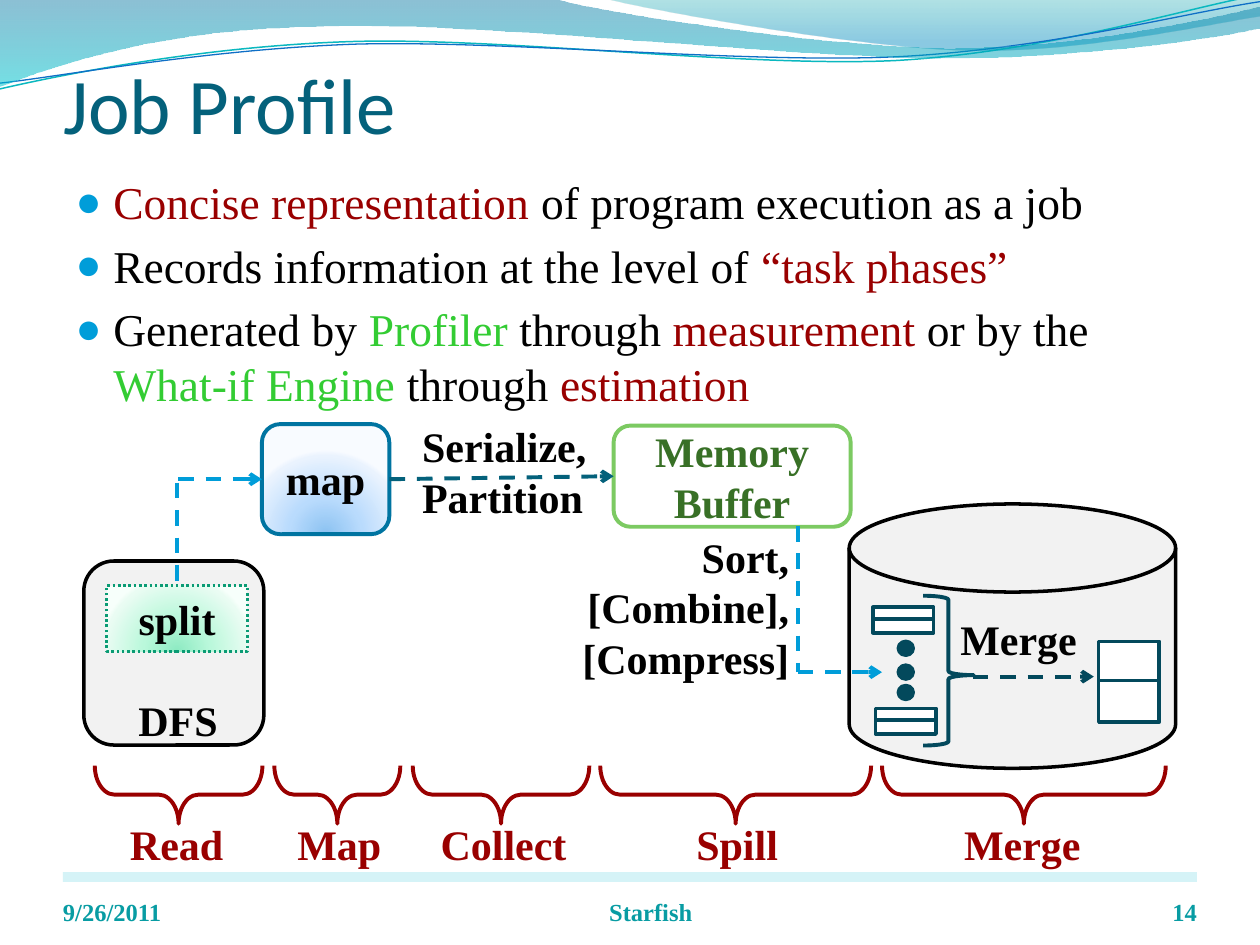
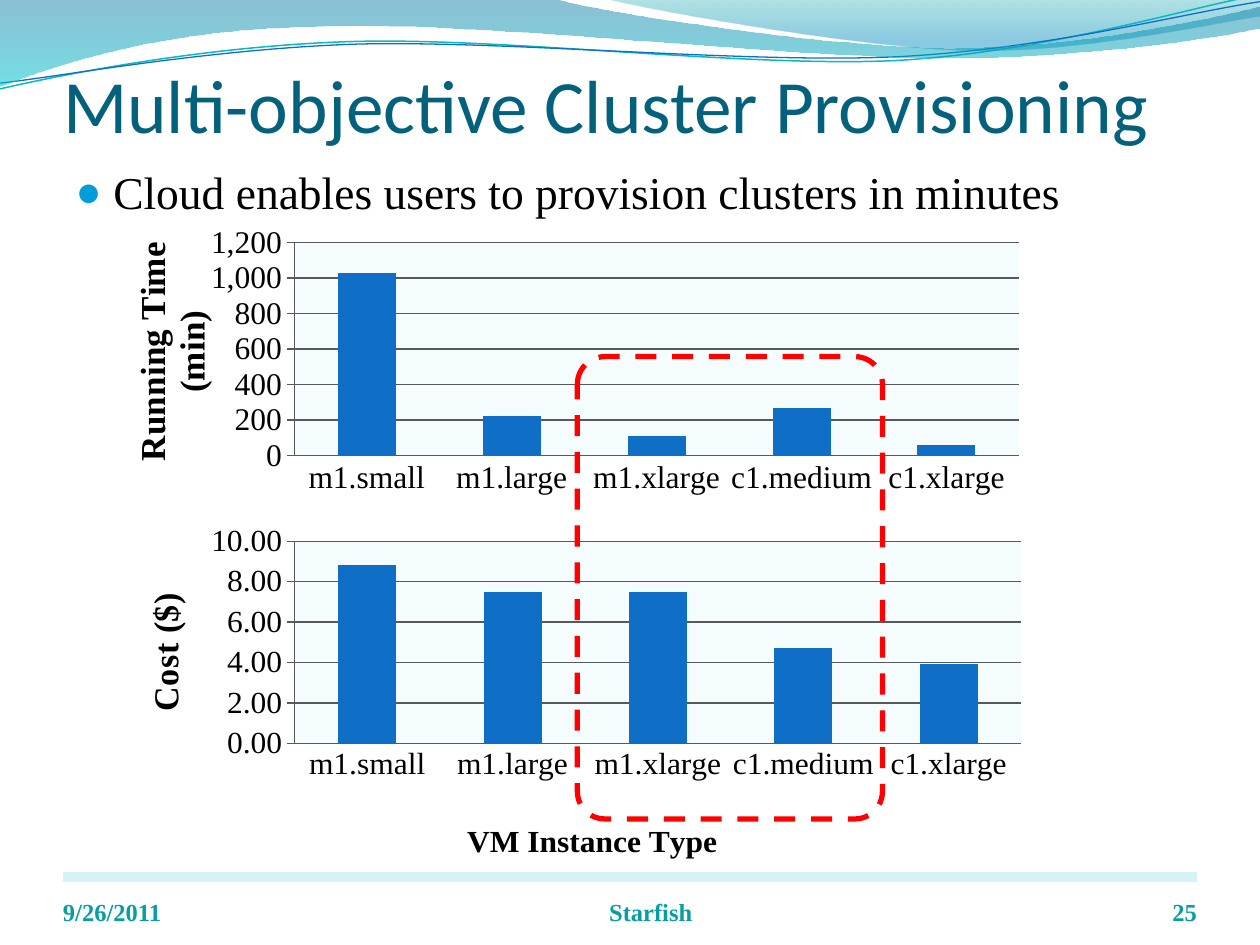
from lxml import etree
from pptx import Presentation
from pptx.chart.data import CategoryChartData
from pptx.dml.color import RGBColor
from pptx.enum.chart import XL_CHART_TYPE as CHART, XL_TICK_MARK as TICK
from pptx.enum.dml import MSO_LINE as DASH
from pptx.enum.shapes import MSO_CONNECTOR, MSO_SHAPE as SHAPE
from pptx.enum.text import MSO_ANCHOR as ANCHOR, MSO_AUTO_SIZE, PP_ALIGN as ALIGN
from pptx.oxml import parse_xml
from pptx.oxml.ns import nsdecls, qn
from pptx.util import Cm, Pt

SERIF, SANS = "Times New Roman", "Calibri"
C = dict(title="04617B", black="000000", white="FFFFFF", red="990000", green="33CC33",
         bullet="009DD9", footer="089CA3", band="B3EAF2", grey="F2F2F2", ink="03495C",
         buffer="7CCA62", buffer_text="387026", map="0074A1", split="0A9B74",
         teal_wave="0AB8BF", blue="0F6FC6", plot="DBF5F9", grid="595959", mark="FF0000")

# Header waves in cm: pairs are line points, sixes are Bezier curves
WAVES = [
    dict(path=[(12.17, -.03), (12.93, .18, 17.32, .97, 19.53, 1.02),
               (21.74, 1.07, 24.41, .48, 25.4, .33), (25.4, 0)],
         stops=[(0, "00A1A9", 30), (80, "008BBF", 45)]),
    dict(path=[(-.03, 1.8), (1.19, 1.52, 4.01, .94, 7.04, .84),
               (10.06, .74, 15.04, 1.37, 18.08, 1.22), (21.13, 1.04, 23.85, .18, 25.37, -.1)],
         line=("teal_wave", .85)),
    dict(path=[(-.03, 1.68), (1.19, 1.55, 4.17, .99, 7.19, .89),
               (10.24, .81, 15.16, 1.3, 18.19, 1.14), (21.23, .97, 23.93, .25, 25.43, .03)],
         line=("blue", .75)),
    dict(path=[(0, -.03), (11.18, -.03), (12.09, .25, 16.87, .97, 19.25, .97),
               (21.67, .97, 24.33, .38, 25.4, .13), (25.43, .56),
               (24.97, .69, 22.1, 1.17, 18.95, 1.17), (15.8, 1.17, 9.7, .43, 6.53, .53),
               (3.28, .56, 1.17, 1.3, -.03, 1.75)],
         stops=[(0, "0074A1", 45), (100, "00C6CF", 55)]),
]

PROFILE_BULLETS = [
    [("Concise representation ", "red"), ("of program execution as a job", "black")],
    [("Records information at the level of ", "black"), ("“task phases”", "red")],
    [("Generated by ", "black"), ("Profiler", "green"), (" through ", "black"),
     ("measurement", "red"), (" or by the ", "black"), ("What-if Engine ", "green"),
     ("through ", "black"), ("estimation", "red")],
]
CLUSTER_BULLETS = [[("Cloud enables users to provision clusters in minutes", "black")]]

# Phase name, centre and width of its brace, centre of its label
PHASES = [("Read", 3.6, 3.38, 3.56), ("Map", 6.8, 2.54, 6.84), ("Collect", 10.1, 3.56, 10.15),
          ("Spill", 14.83, 5.46, 14.86), ("Merge", 20.64, 5.72, 20.61)]
LABELS = [
    (["Serialize,", "Partition"], (8.26, 8.36, 4.24, 2.16), ALIGN.LEFT),
    (["Sort,", "[Combine],", "[Compress]"], (10.6, 10.59, 5.56, 3.1), ALIGN.RIGHT),
    (["Merge"], (19.11, 12.24, 3.28, 1.19), ALIGN.LEFT),
    (["DFS"], (1.95, 13.87, 3.28, 1.19), ALIGN.CENTER),
]
# Left, top, width, height, offset of the second record
RECORD_PAIRS = [(17.6, 12.24, 1.22, .28, .24), (17.65, 14.28, 1.22, .28, .24),
                (22.15, 12.93, 1.22, .84, .79)]
DOT_TOPS = [12.93, 13.41, 13.82]
MAP_STOPS = [(0, "8BC2F1", 100), (43, "B9DBFD", 100), (93, "EAF3FE", 100), (100, "F8FBFF", 100)]
SPLIT_STOPS = [(0, "8DEAC2", 100), (43, "BAF8DB", 100), (93, "EAFCF3", 100), (100, "F7FFFB", 100)]

INSTANCES = ["m1.small", "m1.large", "m1.xlarge", "c1.medium", "c1.xlarge"]
CHARTS = [
    dict(box=(2.33, 4.45, 21.84, 7.11), values=[1030, 220, 110, 270, 60], fmt="#,##0",
         top=1200, step=200, plot=(.165, .062, .669, .604),
         value_title=("Running Time (min)", 20, (.007, .042))),
    dict(box=(2.75, 10.37, 21.84, 7.13), values=[8.8, 7.5, 7.5, 4.7, 3.9], fmt="0.00",
         top=10, step=2, plot=(.146, .078, .671, .589),
         value_title=("Cost ($)", 20, (0, .22)),
         category_title=("VM Instance Type", 18, (.3, .88))),
]


def rgb(name):
    return RGBColor.from_string(C[name])


def cms(values):
    return [Cm(v) for v in values]


def paint(sp, fill=None, line=None, width=2, dash=None):
    sp.shadow.inherit = False
    if fill:
        sp.fill.solid()
        sp.fill.fore_color.rgb = rgb(fill)
    else:
        sp.fill.background()
    if line:
        sp.line.color.rgb = rgb(line)
        sp.line.width = Pt(width)
        if dash:
            sp.line.dash_style = dash
    else:
        sp.line.fill.background()
    return sp


def gradient(sp, stops, direction):
    """Replace an empty fill by a gradient; stops are (percent, hex, opacity)."""
    gs = "".join(f'<a:gs pos="{pos * 1000}"><a:srgbClr val="{color}">'
                 f'<a:alpha val="{alpha * 1000}"/></a:srgbClr></a:gs>'
                 for pos, color, alpha in stops)
    sp_pr = sp.element.spPr
    sp_pr.replace(sp_pr.find(qn("a:noFill")), parse_xml(
        f'<a:gradFill {nsdecls("a")} rotWithShape="1"><a:gsLst>{gs}</a:gsLst>{direction}</a:gradFill>'))


DOWN = '<a:lin ang="5400000" scaled="0"/>'
GLOW = '<a:path path="circle"><a:fillToRect l="50000" t="130000" r="50000" b="-30000"/></a:path>'


def add_run(p, text, size, color, bold=False, font=SERIF):
    r = p.add_run()
    r.text = text
    r.font.size, r.font.name, r.font.bold = Pt(size), font, bold
    r.font.color.rgb = rgb(color)


def write(sp, lines, size=24, color="black", align=ALIGN.CENTER):
    tf = sp.text_frame
    tf.word_wrap = True
    for i, line in enumerate(lines):
        p = tf.add_paragraph() if i else tf.paragraphs[0]
        p.alignment = align
        add_run(p, line, size, color, True)
    return tf


def add_box(s, kind, box, text=None, text_color="black", adj=(), **look):
    sp = paint(s.shapes.add_shape(kind, *cms(box)), **look)
    for i, value in enumerate(adj):
        sp.adjustments[i] = value
    if text:
        write(sp, [text], color=text_color)
    return sp


def add_line(s, start, end, color, arrow=True, begin=None, finish=None):
    """Dashed line; begin and finish are (shape, side) to join."""
    line = s.shapes.add_connector(MSO_CONNECTOR.STRAIGHT, *cms(start + end))
    if begin:
        line.begin_connect(*begin)
    if finish:
        line.end_connect(*finish)
    line.line.color.rgb = rgb(color)
    line.line.width = Pt(2.25)
    line.line.dash_style = DASH.DASH
    if arrow:
        etree.SubElement(line.element.spPr.find(qn("a:ln")), qn("a:tailEnd"), type="arrow")
    etree.SubElement(line.element.spPr, qn("a:effectLst"))


def add_wave(s, path, closed):
    """Freeform through the end points, whose curved segments become Beziers."""
    ends = [tuple(cms(part[-2:])) for part in path]
    fb = s.shapes.build_freeform(*ends[0])
    fb.add_line_segments(ends[1:], close=closed)
    sp = fb.convert_to_shape()
    segments = sp.element.findall(".//" + qn("a:lnTo"))
    for part, segment in zip(path[1:], segments):
        if len(part) == 6:
            segment.tag = qn("a:cubicBezTo")
            for i in (0, 2):
                x, y = cms(part[i:i + 2])
                point = etree.Element(qn("a:pt"), x=str(x - sp.left), y=str(y - sp.top))
                segment.insert(i // 2, point)
    return sp


def add_background(s, layout):
    """Draw the footer band and header waves, then hand them to the layout."""
    band = add_box(s, SHAPE.RECTANGLE, (1.27, 17.58, 22.86, .2), fill="band")
    color = band.element.spPr.find(".//" + qn("a:srgbClr"))
    etree.SubElement(color, qn("a:alpha"), val="55000")
    parts = [band]
    for wave in WAVES:
        sp = paint(add_wave(s, wave["path"], "stops" in wave), None, *wave.get("line", ()))
        if "stops" in wave:
            gradient(sp, wave["stops"], DOWN)
        parts.append(sp)
    for i, sp in enumerate(parts):
        sp.element.xpath(".//p:cNvPr")[0].set("id", str(100 + i))
        layout.shapes.element.insert(2 + i, sp.element)


def place(sp, box):
    sp.left, sp.top, sp.width, sp.height = cms(box)
    sp.text_frame.auto_size = MSO_AUTO_SIZE.NONE


def add_slide(prs, title, title_size, bullets, body_box, number):
    s = prs.slides.add_slide(prs.slide_layouts[1])
    place(s.shapes.title, (1.27, .84, 22.86, 2.34))
    tf = s.shapes.title.text_frame
    tf.vertical_anchor = ANCHOR.MIDDLE
    tf.margin_left = tf.margin_right = tf.margin_bottom = 0
    tf.margin_top = Cm(.13)
    tf.paragraphs[0].alignment = ALIGN.LEFT
    add_run(tf.paragraphs[0], title, title_size, "title", font=SANS)

    body = s.placeholders[1]
    place(body, body_box)
    for i, runs in enumerate(bullets):
        p = body.text_frame.add_paragraph() if i else body.text_frame.paragraphs[0]
        p_pr = p._p.get_or_add_pPr()
        p_pr.set("marL", str(Cm(.76)))
        p_pr.set("indent", str(-Cm(.76)))
        bu_clr = etree.SubElement(p_pr, qn("a:buClr"))
        etree.SubElement(bu_clr, qn("a:srgbClr"), val=C["bullet"])
        etree.SubElement(p_pr, qn("a:buSzPct"), val="95000")
        etree.SubElement(p_pr, qn("a:buChar"), char="●")
        p.space_before = Pt(5.2 if i else 0)
        for text, color in runs:
            add_run(p, text, 26, color)

    for text, left, width, align in [("9/26/2011", 1.27, 5.92, ALIGN.LEFT),
                                     ("Starfish", 8.46, 9.32, ALIGN.CENTER),
                                     (str(number), 22.02, 2.11, ALIGN.RIGHT)]:
        tf = write(s.shapes.add_textbox(*cms((left, 17.65, width, 1.02))), [text], 14, "footer", align)
        tf.vertical_anchor = ANCHOR.BOTTOM
        tf.margin_left = tf.margin_right = tf.margin_top = tf.margin_bottom = 0
    return s


def draw_job_phases(s):
    buffer = add_box(s, SHAPE.ROUNDED_RECTANGLE, (12.37, 8.58, 4.78, 2.04), "Memory Buffer",
                     "buffer_text", fill="white", line="buffer", width=2.25)
    add_box(s, SHAPE.FLOWCHART_MAGNETIC_DISK, (17.12, 10.16, 6.58, 5.33), fill="grey", line="black")
    for left, top, width, height, step in RECORD_PAIRS:
        for y in (top, top + step):
            add_box(s, SHAPE.RECTANGLE, (left, y, width, height), fill="white", line="ink")
    for top in DOT_TOPS:
        add_box(s, SHAPE.OVAL, (18.11, top, .3, .28), fill="ink", line="ink")
    add_box(s, SHAPE.RIGHT_BRACE, (18.61, 12.01, 1.02, 3.02), adj=(.08, .53), line="ink", width=2.25)
    mapper = add_box(s, SHAPE.ROUNDED_RECTANGLE, (5.28, 8.55, 2.57, 2.22), "map", line="map", width=2.25)
    gradient(mapper, MAP_STOPS, GLOW)
    add_box(s, SHAPE.ROUNDED_RECTANGLE, (1.69, 11.31, 3.63, 3.71), fill="grey", line="black")
    split = add_box(s, SHAPE.RECTANGLE, (2.15, 11.81, 2.84, 1.32), "split",
                    line="split", width=1.5, dash=DASH.ROUND_DOT)
    gradient(split, SPLIT_STOPS, GLOW)

    add_line(s, (3.57, 9.73), (3.57, 11.81), "bullet", False, finish=(split, 0))
    add_line(s, (3.59, 9.66), (5.28, 9.66), "bullet", finish=(mapper, 1))
    add_line(s, (7.85, 9.66), (12.37, 9.6), "title", begin=(mapper, 3), finish=(buffer, 1))
    add_line(s, (16.08, 10.6), (16.08, 13.55), "bullet", False)
    add_line(s, (16.08, 13.55), (17.78, 13.55), "bullet")
    add_line(s, (19.61, 13.64), (22.05, 13.64), "ink")

    for lines, box, align in LABELS:
        write(s.shapes.add_textbox(*cms(box)), lines, align=align)
    depth, middle = 1.17, 16.02
    for name, centre, width, label_centre in PHASES:
        brace = add_box(s, SHAPE.RIGHT_BRACE, (centre - depth / 2, middle - width / 2, depth, width),
                        adj=(.34, .5), line="red", width=2.25)
        brace.rotation = 90
        label = s.shapes.add_textbox(*cms((label_centre - width / 2, 16.38, width, 1.27)))
        write(label, [name], color="red")


def set_layout(parent, numbers, target=""):
    tags = "".join(f'<c:{k} val="{v}"/>' for k, v in zip("xywh", numbers))
    layout = parse_xml(f'<c:layout {nsdecls("c")}><c:manualLayout>{target}<c:xMode val="edge"/>'
                       f'<c:yMode val="edge"/>{tags}</c:manualLayout></c:layout>')
    old = parent.find(qn("c:layout"))
    if old is None:
        parent.insert(0, layout)
    else:
        parent.replace(old, layout)


def set_axis_title(axis, text, size, corner, turn=0):
    title = axis.axis_title
    add_run(title.text_frame.paragraphs[0], text, size, "black", True)
    body = title.element.find(".//" + qn("a:bodyPr"))
    body.set("rot", str(turn * 60000))
    body.set("vert", "horz")
    set_layout(title.element, corner)


def add_bar_chart(s, box, values, fmt, top, step, plot, value_title, category_title=None):
    data = CategoryChartData()
    data.categories = INSTANCES
    data.add_series("Series 1", values)
    chart = s.shapes.add_chart(CHART.COLUMN_CLUSTERED, *cms(box), data).chart
    chart.has_legend = chart.has_title = False
    chart.font.size, chart.font.name = Pt(18), SERIF
    chart.font.color.rgb = rgb("black")
    bars = chart.plots[0]
    bars.gap_width, bars.vary_by_categories = 150, False
    bars.series[0].format.fill.solid()
    bars.series[0].format.fill.fore_color.rgb = rgb("blue")

    cat, val = chart.category_axis, chart.value_axis
    cat.major_tick_mark, val.major_tick_mark = TICK.NONE, TICK.OUTSIDE
    val.minimum_scale, val.maximum_scale, val.major_unit = 0, top, step
    val.has_major_gridlines = True
    val.tick_labels.number_format = fmt
    val.tick_labels.number_format_is_linked = False
    for part in (cat, val, val.major_gridlines):
        part.format.line.color.rgb = rgb("grid")
        part.format.line.width = Pt(.75)
    set_axis_title(val, *value_title, turn=-90)
    if category_title:
        set_axis_title(cat, *category_title)

    area = chart.element.find(".//" + qn("c:plotArea"))
    set_layout(area, plot, '<c:layoutTarget val="inner"/>')
    area.append(parse_xml(f'<c:spPr {nsdecls("c", "a")}><a:solidFill><a:srgbClr val="{C["plot"]}">'
                          '<a:alpha val="25000"/></a:srgbClr></a:solidFill></c:spPr>'))
    chart.element.find(qn("c:chart")).addnext(parse_xml(
        f'<c:spPr {nsdecls("c", "a")}><a:noFill/><a:ln><a:noFill/></a:ln></c:spPr>'))


def main():
    prs = Presentation()
    prs.slide_width, prs.slide_height = Cm(25.4), Cm(19.05)

    s = add_slide(prs, "Job Profile", 45, PROFILE_BULLETS, (1.27, 3.38, 22.86, 6.98), 14)
    add_background(s, prs.slide_layouts[1])
    draw_job_phases(s)

    s = add_slide(prs, "Multi-objective Cluster Provisioning", 43, CLUSTER_BULLETS,
                  (1.27, 3.18, 22.86, 14.17), 25)
    for chart in CHARTS:
        add_bar_chart(s, **chart)
    add_box(s, SHAPE.ROUNDED_RECTANGLE, (11.64, 7.19, 6.15, 9.32), adj=(.09,),
            line="mark", width=3, dash=DASH.DASH)
    prs.save("out.pptx")


if __name__ == "__main__":
    main()
